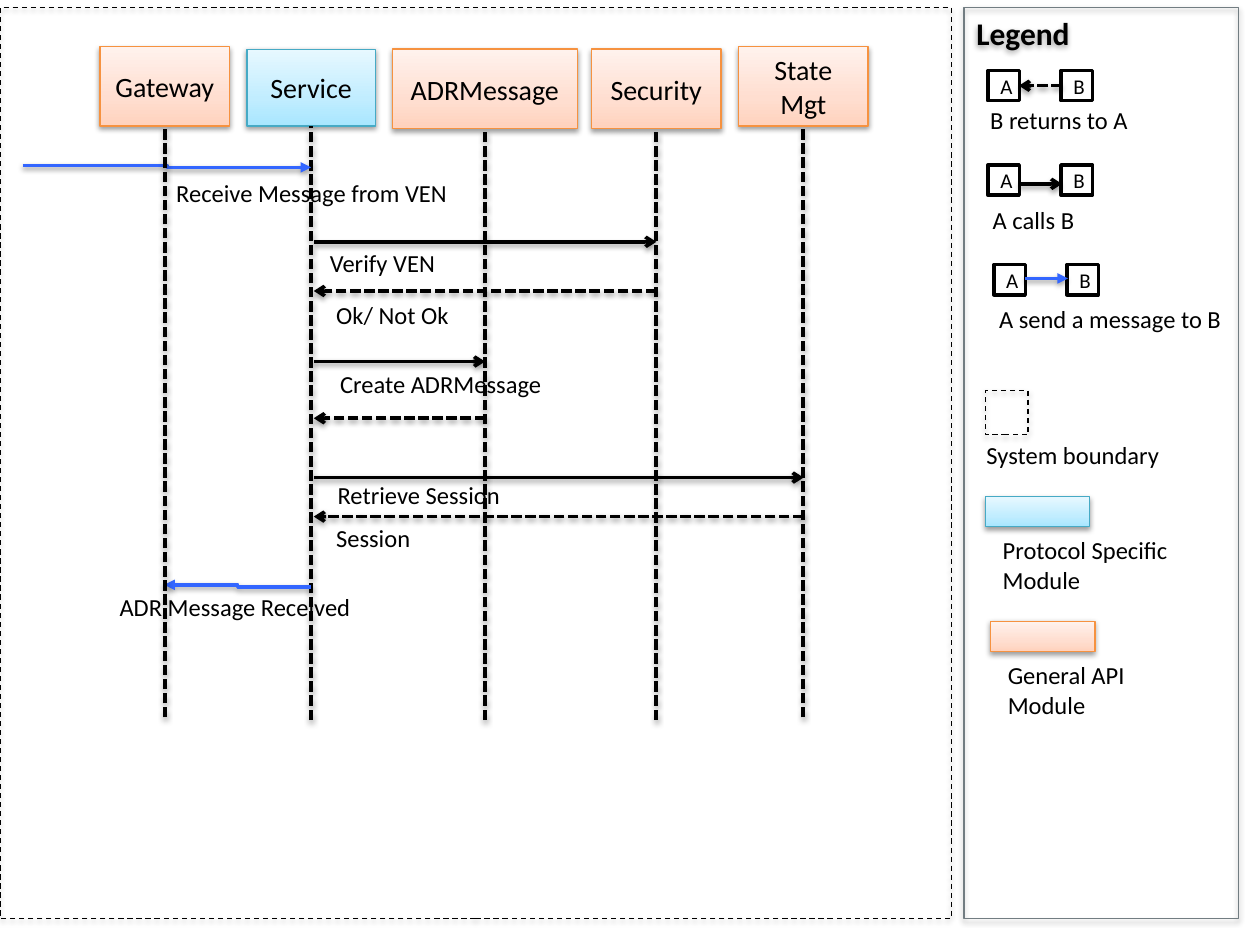
from copy import deepcopy
from dataclasses import dataclass

from lxml.etree import SubElement
from pptx import Presentation
from pptx.dml.color import RGBColor
from pptx.enum.dml import MSO_LINE
from pptx.enum.shapes import MSO_CONNECTOR, MSO_SHAPE
from pptx.enum.text import MSO_ANCHOR, MSO_AUTO_SIZE, PP_ALIGN
from pptx.oxml.ns import qn
from pptx.util import Pt


@dataclass(frozen=True)
class Theme:
    font: str = "Calibri"
    ink: str = "000000"
    paper: str = "FFFFFF"
    message: str = "3366FF"
    panel: str = "727D82"
    protocol: tuple = ("46AAC5", "A7E6FF", "C1EDFF", "E7F8FF")
    general: tuple = ("F69240", "FFD2BD", "FFDED0", "FFF2ED")
    stops: tuple = (0, 0.35, 1)
    heading: float = 18
    name: float = 16
    label: float = 14
    key: float = 12
    thin: float = 0.75
    thick: float = 2


class SequenceSlide:
    def __init__(self, page, theme):
        self.page = page
        self.theme = theme

    def shadow(self, shape, alpha=38, distance=1.6):
        props = shape._element.spPr
        effects = props.find(qn("a:effectLst"))
        if effects is None:
            effects = SubElement(props, qn("a:effectLst"))
        outer = SubElement(
            effects, qn("a:outerShdw"), blurRad=str(Pt(3.1)), dist=str(Pt(distance)),
            dir="5400000", rotWithShape="0")
        color = SubElement(outer, qn("a:srgbClr"), val=self.theme.ink)
        SubElement(color, qn("a:alpha"), val=str(alpha * 1000))

    def stroke(self, shape, color, width, dash=None):
        shape.line.color.rgb = RGBColor.from_string(color)
        shape.line.width = Pt(width)
        if dash is not None:
            shape.line.dash_style = dash

    def add_text(self, shape, lines, size, align=PP_ALIGN.LEFT, bold=False):
        frame = shape.text_frame
        for index, line in enumerate(lines):
            para = frame.add_paragraph() if index else frame.paragraphs[0]
            para.alignment = align
            span = para.add_run()
            span.text = line
            span.font.name = self.theme.font
            span.font.size = Pt(size)
            span.font.bold = bold
            span.font.color.rgb = RGBColor.from_string(self.theme.ink)

    def box(self, left, top, width, height, color, weight, dash=None):
        box = self.page.shapes.add_shape(
            MSO_SHAPE.RECTANGLE, Pt(left), Pt(top), Pt(width), Pt(height))
        box.shadow.inherit = False
        box.fill.background()
        self.stroke(box, color, weight, dash)
        return box

    def boundary(self, left, top, width, height):
        box = self.box(left, top, width, height, self.theme.ink, self.theme.thin, MSO_LINE.DASH)
        self.shadow(box, 35, 1.8)

    def panel(self, left, top, width, height, heading):
        box = self.box(left, top, width, height, self.theme.panel, self.theme.thin)
        self.shadow(box)
        box.text_frame.word_wrap = True
        box.text_frame.vertical_anchor = MSO_ANCHOR.TOP
        self.add_text(box, [heading], self.theme.heading, bold=True)

    def module(self, left, top, width, height, palette, name=None):
        edge, *shades = palette
        box = self.box(left, top, width, height, edge, self.theme.thin)
        box.fill.gradient()
        box.fill.gradient_angle = 90
        stop_list = box._element.spPr.find(".//" + qn("a:gsLst"))
        stop_list.insert(1, deepcopy(stop_list[0]))
        for stop, shade, position in zip(box.fill.gradient_stops, shades, self.theme.stops):
            stop.color.rgb = RGBColor.from_string(shade)
            stop.position = position
        self.shadow(box)
        if name:
            box.text_frame.word_wrap = True
            box.text_frame.vertical_anchor = MSO_ANCHOR.MIDDLE
            self.add_text(box, [name], self.theme.name, PP_ALIGN.CENTER)

    def participant(self, name, left, top, width, height, palette):
        self.module(left, top, width, height, palette, name)
        center = left + width / 2
        self.arrow(center, top + 383.4, center, top + height, dashed=True, tip=None)

    def arrow(self, x1, y1, x2, y2, dashed=False, tip="arrow", bent=False):
        kind = MSO_CONNECTOR.ELBOW if bent else MSO_CONNECTOR.STRAIGHT
        line = self.page.shapes.add_connector(kind, Pt(x1), Pt(y1), Pt(x2), Pt(y2))
        color = self.theme.message if tip == "triangle" else self.theme.ink
        self.stroke(line, color, self.theme.thick, MSO_LINE.SQUARE_DOT if dashed else None)
        if tip:
            SubElement(line._element.spPr.find(qn("a:ln")), qn("a:tailEnd"), type=tip)
        self.shadow(line)

    def label(self, left, top, width, *lines):
        box = self.page.shapes.add_textbox(
            Pt(left), Pt(top), Pt(width), Pt(7.4 + 17 * len(lines)))
        box.text_frame.word_wrap = False
        box.text_frame.auto_size = MSO_AUTO_SIZE.SHAPE_TO_FIT_TEXT
        self.add_text(box, lines, self.theme.label)

    def key(self, left, top, drop, returns=False, dashed=False, tip="arrow"):
        for name, offset in (("A", 0), ("B", 41.8)):
            box = self.box(left + offset, top, 18, 17.3, self.theme.ink, self.theme.thick)
            box.fill.solid()
            box.fill.fore_color.rgb = RGBColor.from_string(self.theme.paper)
            box.text_frame.word_wrap = True
            box.text_frame.vertical_anchor = MSO_ANCHOR.MIDDLE
            self.add_text(box, [name], self.theme.key)
        start, end = left + 17.8, left + 42.4
        if returns:
            start, end = end, start
        self.arrow(start, top + drop, end, top + drop, dashed, tip, bent=True)


def main():
    deck = Presentation()
    deck.slide_width, deck.slide_height = Pt(720), Pt(540)
    page = deck.slides.add_slide(deck.slide_layouts[6])
    theme = Theme()
    diagram = SequenceSlide(page, theme)

    diagram.boundary(0, 4.3, 543.6, 520.6)
    diagram.panel(550.8, 4.3, 157, 520.6, "Legend")
    diagram.key(564.5, 40.3, 8.7, returns=True, dashed=True)
    diagram.key(564.5, 94.3, 10.8)
    diagram.key(567.9, 151.2, 7.9, tip="triangle")
    diagram.boundary(563, 223.2, 24.5, 25.2)
    diagram.module(563, 283.7, 59.8, 17.3, theme.protocol)
    diagram.module(565.9, 355, 59.8, 17.3, theme.general)

    for name, left, top, width, height, palette in (
        ("Service", 141.1, 28.1, 73.4, 43.9, theme.protocol),
        ("State Mgt", 421.9, 26.6, 74.2, 45.4, theme.general),
        ("Security", 337.9, 28.1, 74.2, 45.4, theme.general),
        ("ADRMessage", 224.2, 28.1, 105.8, 45.4, theme.general),
    ):
        diagram.participant(name, left, top, width, height, palette)

    service = 179.3
    for target, call, answer in (
        (375.1, 138.2, 166.3),
        (277.2, 206.6, 239),
        (459.2, 272.9, 295.2),
    ):
        diagram.arrow(service, call, target, call)
        diagram.arrow(target, answer, service, answer, dashed=True)
    diagram.arrow(13, 94.5, 177.8, 95.6, tip="triangle", bent=True)
    diagram.arrow(177.8, 335.3, 93.9, 334.2, tip="triangle", bent=True)

    for left, top, width, *lines in (
        (558.7, 56.2, 94.3, "B returns to A"),
        (560.2, 113.8, 61.9, "A calls B"),
        (563.8, 170.2, 142.6, "A send a message to B"),
        (556.6, 247.9, 114.5, "System boundary"),
        (565.9, 302.4, 110.2, "Protocol Specific", "Module"),
        (568.8, 373.7, 82.1, "General API", "Module"),
        (93.6, 97.9, 171.4, "Receive Message from VEN"),
        (181.4, 138.2, 75.6, "Verify VEN"),
        (185, 167.8, 79.2, "Ok/ Not Ok"),
        (187.2, 207.4, 131, "Create ADRMessage"),
        (185.8, 270.7, 108.7, "Retrieve Session"),
        (185, 295.2, 57.6, "Session"),
        (61.2, 334.8, 147.6, "ADR Message Received"),
    ):
        diagram.label(left, top, width, *lines)

    diagram.participant("Gateway", 57.1, 26.6, 74.2, 45.4, theme.general)
    deck.save("out.pptx")


if __name__ == "__main__":
    main()
